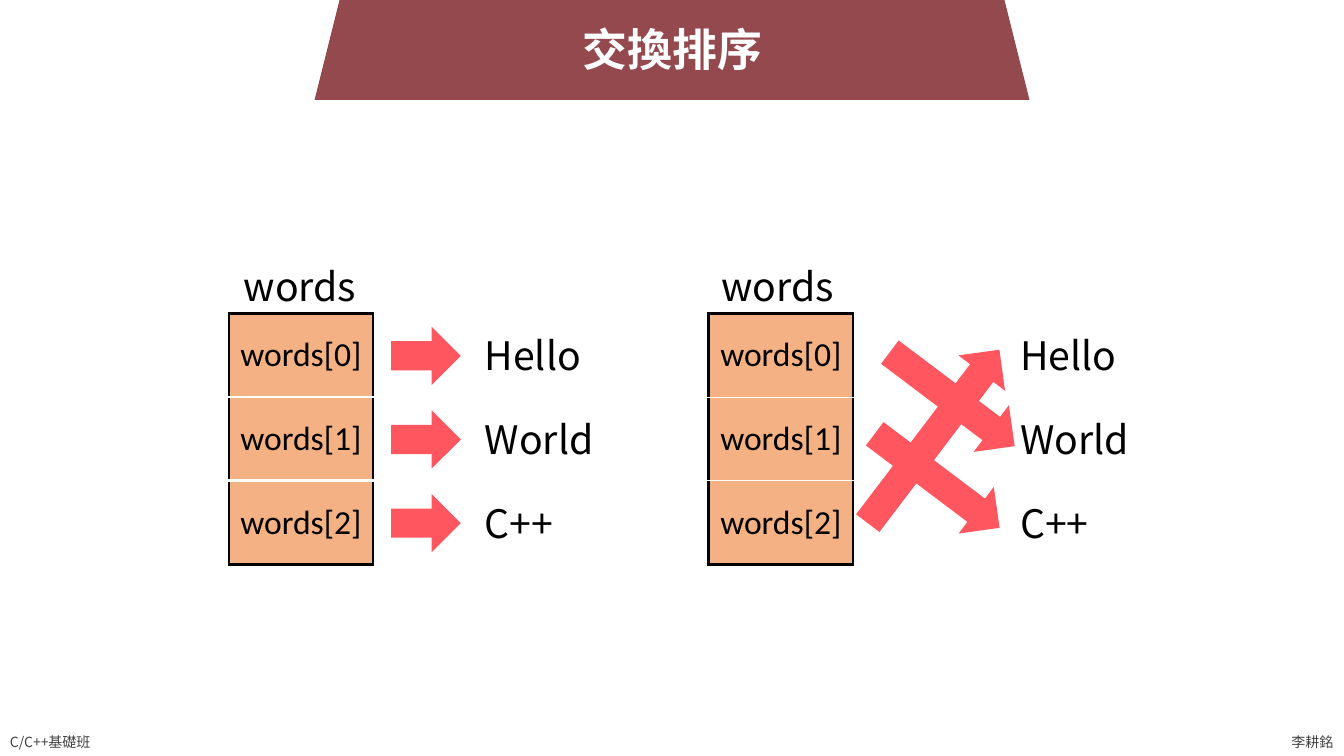
from dataclasses import dataclass

from lxml.etree import SubElement
from pptx import Presentation
from pptx.dml.color import RGBColor
from pptx.enum.shapes import MSO_SHAPE as Preset
from pptx.enum.text import MSO_ANCHOR as Anchor, MSO_AUTO_SIZE as AutoSize, PP_ALIGN as Align
from pptx.oxml.ns import qn
from pptx.util import Inches, Pt


@dataclass(frozen=True)
class Theme:
    text_font: str = "Noto Sans CJK TC"
    cell_font: str = "Calibri"
    banner: str = "94494E"
    cell: str = "F4B183"
    arrow: str = "FF5660"
    black: str = "000000"
    white: str = "FFFFFF"
    footer: str = "404040"
    title_size: int = 32
    label_size: int = 28
    cell_size: int = 24
    footer_size: int = 10
    outline: float = 2.25


class SlideBuilder:
    def __init__(self, slide, theme):
        self.slide = slide
        self.theme = theme

    def add_run(self, paragraph, text, font, size, color, bold=False, align=Align.LEFT):
        paragraph.alignment = align
        run = paragraph.add_run()
        run.text = text
        for name, value in {"name": font, "size": Pt(size), "bold": bold}.items():
            setattr(run.font, name, value)
        run.font.color.rgb = RGBColor.from_string(color)
        SubElement(run._r.get_or_add_rPr(), qn("a:ea"), typeface=font)

    def text(self, text, left, top, width, height, size, color, anchor=Anchor.TOP, **style):
        box = self.slide.shapes.add_textbox(*map(Inches, (left, top, width, height)))
        frame = box.text_frame
        frame_format = {
            "word_wrap": False,
            "auto_size": AutoSize.SHAPE_TO_FIT_TEXT,
            "vertical_anchor": anchor,
        }
        for name, value in frame_format.items():
            setattr(frame, name, value)
        self.add_run(frame.paragraphs[0], text, self.theme.text_font, size, color, **style)

    def label(self, text, left, top, width):
        self.text(text, left, top, width, 0.57, self.theme.label_size, self.theme.black)

    def shape(self, preset, left, top, width, height, color, rotation=0):
        shape = self.slide.shapes.add_shape(preset, *map(Inches, (left, top, width, height)))
        shape.shadow.inherit = False
        shape.fill.solid()
        shape.fill.fore_color.rgb = RGBColor.from_string(color)
        shape.line.fill.background()
        shape.rotation = rotation

    def arrow(self, left, top, width, rotation=0):
        self.shape(Preset.RIGHT_ARROW, left, top, width, 0.58, self.theme.arrow, rotation)

    def border(self, cell, side, color, width):
        line = SubElement(cell._tc.get_or_add_tcPr(), qn(f"a:{side}"), w=str(Pt(width)))
        SubElement(SubElement(line, qn("a:solidFill")), qn("a:srgbClr"), val=color)

    def array(self, names, left, top, width, row_height, divider):
        theme = self.theme
        size = (left, top, width, row_height * len(names))
        table = self.slide.shapes.add_table(len(names), 1, *map(Inches, size)).table
        for name in ("first_row", "horz_banding"):
            setattr(table, name, False)
        outer, inner = (theme.black, theme.outline), (theme.white, divider)
        for index, text in enumerate(names):
            table.rows[index].height = Inches(row_height)
            cell = table.cell(index, 0)
            cell.vertical_anchor = Anchor.MIDDLE
            self.add_run(cell.text_frame.paragraphs[0], text, theme.cell_font,
                         theme.cell_size, theme.black, align=Align.CENTER)
            borders = {
                "lnL": outer,
                "lnR": outer,
                "lnT": outer if index == 0 else inner,
                "lnB": outer if index == len(names) - 1 else inner,
            }
            for side, (color, line_width) in borders.items():
                self.border(cell, side, color, line_width)
            cell.fill.solid()
            cell.fill.fore_color.rgb = RGBColor.from_string(theme.cell)


def main():
    presentation = Presentation()
    presentation.slide_width = Inches(13.33)
    presentation.slide_height = Inches(7.5)
    theme = Theme()
    slide = presentation.slides.add_slide(presentation.slide_layouts[6])
    builder = SlideBuilder(slide, theme)

    # Footer
    builder.text("C/C++基礎班", 0, 7.23, 1.07, 0.27, theme.footer_size, theme.footer)
    builder.text("李耕銘", 12.71, 7.23, 0.62, 0.27, theme.footer_size, theme.footer,
                 anchor=Anchor.MIDDLE)

    # Title banner
    builder.shape(Preset.TRAPEZOID, 3.12, -0.23, 7.09, 1.22, theme.banner)
    builder.text("交換排序", 5.67, 0.17, 2, 0.64, theme.title_size, theme.white,
                 bold=True, align=Align.CENTER)

    # Pointer arrays with their strings, before and after the swap
    row_height = 0.83
    strings = {"Hello": 1.17, "World": 1.33, "C++": 1.04}
    names = [f"words[{index}]" for index in range(len(strings))]
    panels = [(2.27, 2.32, 4.71, theme.outline), (7.03, 7.06, 10.02, 0.75)]
    for array_left, heading_left, string_left, divider in panels:
        builder.array(names, array_left, 3.11, 1.43, row_height, divider)
        builder.label("words", heading_left, 2.55, 1.32)
        for index, (text, width) in enumerate(strings.items()):
            builder.label(text, string_left, 3.24 + index * row_height, width)

    # Straight arrows: original order
    for index in range(len(strings)):
        builder.arrow(3.88, 3.24 + index * row_height, 0.69)

    # Crossed arrows: sorted order
    for left, top, width, rotation in [
        (8.67, 3.67, 1.55, 37),
        (8.52, 4.48, 1.55, 37),
        (8.18, 4.04, 2.16, 307.2),
    ]:
        builder.arrow(left, top, width, rotation)

    presentation.save("out.pptx")


if __name__ == "__main__":
    main()
